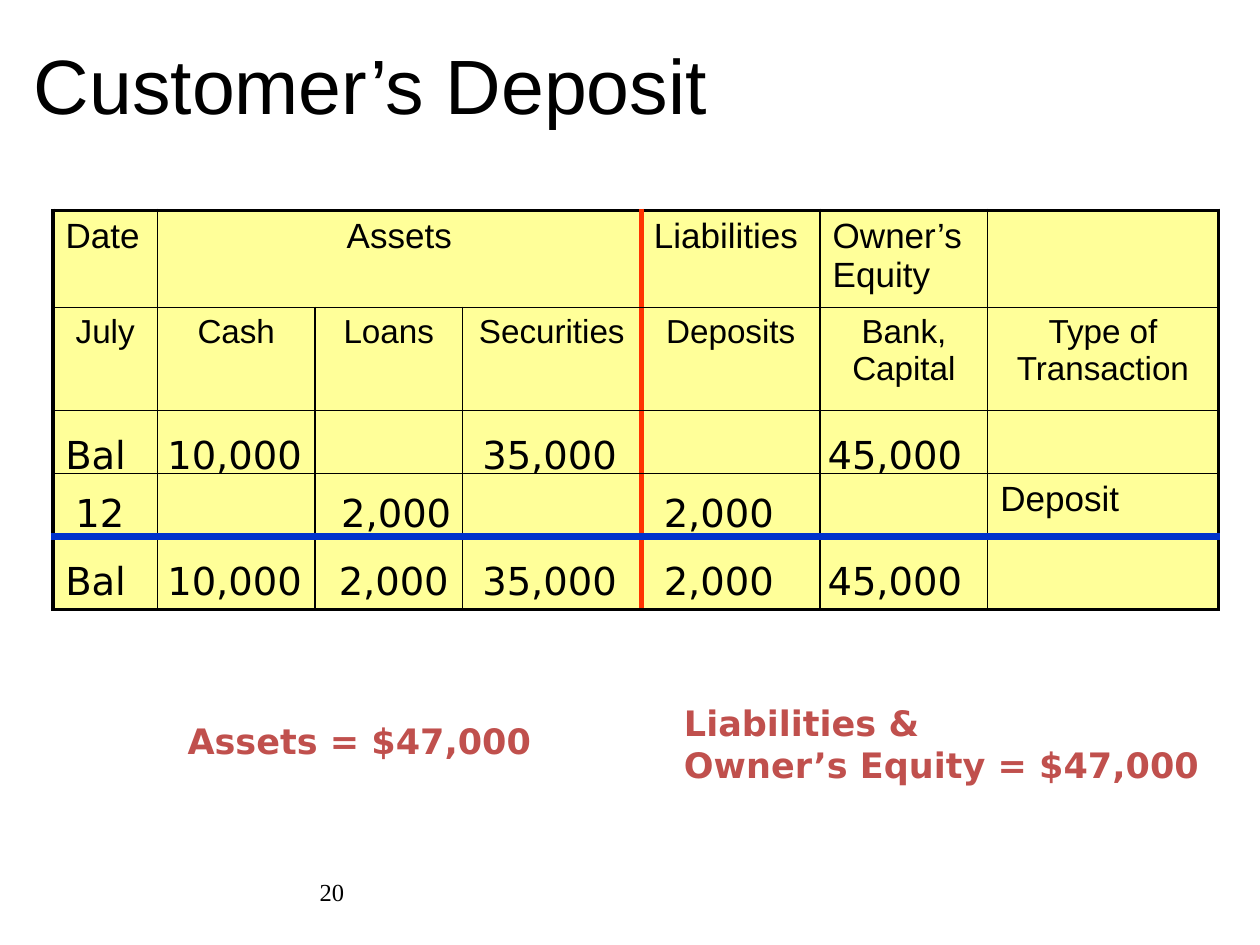
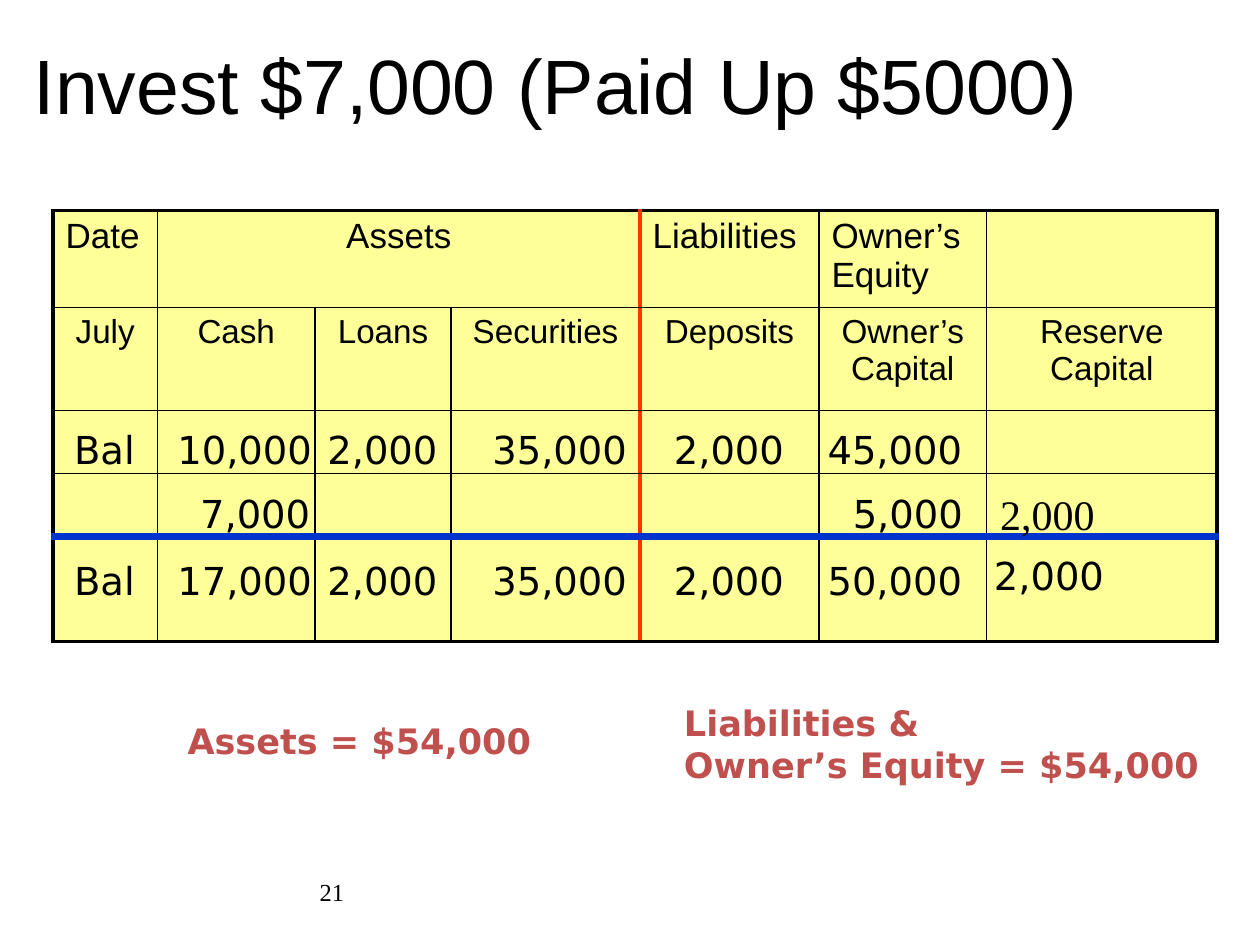
from dataclasses import dataclass
from typing import NamedTuple

from lxml import etree
from pptx import Presentation
from pptx.dml.color import RGBColor
from pptx.enum import shapes, text
from pptx.oxml.ns import qn
from pptx.util import Inches, Pt

BLACK = RGBColor(0x00, 0x00, 0x00)
WHITE = RGBColor(0xFF, 0xFF, 0xFF)
CELL_YELLOW = RGBColor(0xFF, 0xFF, 0x99)
DIVIDER_RED = RGBColor(0xFF, 0x33, 0x00)
TOTAL_BLUE = RGBColor(0x00, 0x33, 0xCC)
NOTE_RED = RGBColor(0xC0, 0x50, 0x4D)

LEFT, CENTER, RIGHT = text.PP_ALIGN.LEFT, text.PP_ALIGN.CENTER, text.PP_ALIGN.RIGHT

TITLE = {"name": "Arial", "size": Pt(44)}
LABEL = {"name": "Arial", "size": Pt(20)}
SUBLABEL = {"name": "Arial", "size": Pt(19)}
FIGURE = {"name": "DejaVu Sans", "size": Pt(22)}
SERIF_FIGURE = {"name": "Times New Roman", "size": Pt(24)}
NOTE = {"name": "DejaVu Sans", "size": Pt(20), "bold": True}
PAGE_NUMBER = {"name": "Times New Roman", "size": Pt(14)}

FIGURE_HEIGHT = 0.47
FIGURE_WIDTHS = {2: 0.59, 3: 0.68, 5: 1.09, 6: 1.28}  # by number of characters


class Box(NamedTuple):
    left: float
    top: float
    width: float
    height: float


class Border(NamedTuple):
    color: RGBColor
    points: float


class FigureRow(NamedTuple):
    top: float
    figures: dict[float, str]  # left edge -> figure


THIN = Border(BLACK, 1)
FRAME = Border(BLACK, 2.25)
COLUMN_EDGES = [FRAME, THIN, THIN, THIN, Border(DIVIDER_RED, 3), THIN, THIN, FRAME]
ROW_EDGES = [FRAME, THIN, THIN, THIN, Border(TOTAL_BLUE, 4.5), FRAME]

HEADINGS = ["Date", "Assets", "", "", "Liabilities", "Owner’s Equity", ""]
ACCOUNTS = ["July", "Cash", "Loans", "Securities", "Deposits"]
ASSETS_COLUMN, ASSETS_SPAN = 1, 3


@dataclass
class Ledger:
    title: str
    page_number: int
    total: str
    columns: list[float]
    last_row: float
    last_accounts: list[str]
    rows: list[FigureRow]
    transaction: str = ""
    serif_figure: str = ""


LEDGERS = [
    Ledger(
        title="Customer’s Deposit",
        page_number=20,
        total="$47,000",
        columns=[0.83, 1.25, 1.17, 1.42, 1.42, 1.33, 1.83],
        last_row=0.58,
        last_accounts=["Bank, Capital", "Type of Transaction"],
        rows=[
            FigureRow(3.37, {0.42: "Bal", 1.23: "10,000", 3.73: "35,000", 6.47: "45,000"}),
            FigureRow(3.83, {0.5: "12", 2.61: "2,000", 5.17: "2,000"}),
            FigureRow(4.37, {0.42: "Bal", 1.23: "10,000", 2.59: "2,000",
                             3.73: "35,000", 5.17: "2,000", 6.47: "45,000"}),
        ],
        transaction="Deposit",
    ),
    Ledger(
        title="Invest $7,000 (Paid Up $5000)",
        page_number=21,
        total="$54,000",
        columns=[0.83, 1.25, 1.08, 1.5, 1.42, 1.33, 1.83],
        last_row=0.83,
        last_accounts=["Owner’s Capital", "Reserve Capital"],
        rows=[
            FigureRow(3.33, {0.49: "Bal", 1.31: "10,000", 2.5: "2,000",
                             3.81: "35,000", 5.25: "2,000", 6.47: "45,000"}),
            FigureRow(3.84, {1.49: "7,000", 6.67: "5,000"}),
            FigureRow(4.37, {0.49: "Bal", 1.31: "17,000", 2.5: "2,000",
                             3.81: "35,000", 5.25: "2,000", 6.47: "50,000"}),
            FigureRow(4.33, {7.79: "2,000"}),
        ],
        serif_figure="2,000",
    ),
]


def write(frame, lines: list[str], style: dict, color: RGBColor = BLACK, align=LEFT) -> None:
    for index, line in enumerate(lines):
        para = frame.paragraphs[0] if index == 0 else frame.add_paragraph()
        para.alignment = align
        span = para.add_run()
        span.text = line
        for name, value in style.items():
            setattr(span.font, name, value)
        span.font.color.rgb = color


def add_text(page, box: Box, line: str, style: dict, align=LEFT) -> None:
    """Add wrapped text, centred vertically in its box."""
    frame = page.shapes.add_textbox(*map(Inches, box)).text_frame
    frame.word_wrap = True
    frame.vertical_anchor = text.MSO_ANCHOR.MIDDLE
    write(frame, [line], style, align=align)


def fit_to_text(frame) -> None:
    frame.word_wrap = False
    frame.auto_size = text.MSO_AUTO_SIZE.SHAPE_TO_FIT_TEXT


def add_figure(page, box: Box, figure: str, style: dict) -> None:
    frame = page.shapes.add_textbox(*map(Inches, box)).text_frame
    fit_to_text(frame)
    write(frame, [figure], style)


def add_note(page, box: Box, lines: list[str]) -> None:
    note = page.shapes.add_shape(shapes.MSO_SHAPE.RECTANGLE, *map(Inches, box))
    note.shadow.inherit = False
    note.fill.solid()
    note.fill.fore_color.rgb = WHITE
    note.line.fill.background()
    fit_to_text(note.text_frame)
    note.text_frame.vertical_anchor = text.MSO_ANCHOR.TOP
    write(note.text_frame, lines, NOTE, NOTE_RED)


def add_borders(cell, row: int, column: int) -> None:
    span = cell.span_width if cell.is_merge_origin else 1
    borders = {
        "a:lnL": COLUMN_EDGES[column],
        "a:lnR": COLUMN_EDGES[column + span],
        "a:lnT": ROW_EDGES[row],
        "a:lnB": ROW_EDGES[row + 1],
    }
    properties = cell._tc.get_or_add_tcPr()
    for tag, border in borders.items():
        line = etree.SubElement(properties, qn(tag), w=str(Pt(border.points)))
        fill = etree.SubElement(line, qn("a:solidFill"))
        etree.SubElement(fill, qn("a:srgbClr"), val=str(border.color))


def add_ledger_table(page, ledger: Ledger) -> None:
    heights = [0.77, 0.82, 0.5, 0.5, ledger.last_row]
    blank = [""] * len(ledger.columns)
    labels = [HEADINGS, ACCOUNTS + ledger.last_accounts, blank,
              blank[:-1] + [ledger.transaction], blank]
    box = Box(0.42, 1.67, sum(ledger.columns), sum(heights))
    table = page.shapes.add_table(len(heights), len(blank), *map(Inches, box)).table
    table.first_row = table.horz_banding = False
    for column, width in zip(table.columns, ledger.columns):
        column.width = Inches(width)
    for row, height in zip(table.rows, heights):
        row.height = Inches(height)
    table.cell(0, ASSETS_COLUMN).merge(table.cell(0, ASSETS_COLUMN + ASSETS_SPAN - 1))

    for row, row_labels in enumerate(labels):
        for column, label in enumerate(row_labels):
            cell = table.cell(row, column)
            if not cell.is_spanned:
                add_borders(cell, row, column)
            cell.fill.solid()
            cell.fill.fore_color.rgb = CELL_YELLOW
            if label:
                centred = row == 1 or cell.is_merge_origin
                write(cell.text_frame, [label], SUBLABEL if row == 1 else LABEL,
                      align=CENTER if centred else LEFT)


def add_ledger_page(deck, ledger: Ledger) -> None:
    page = deck.slides.add_slide(deck.slide_layouts[6])
    add_text(page, Box(0.17, 0.25, 9.08, 0.83), ledger.title, TITLE)
    add_ledger_table(page, ledger)
    add_text(page, Box(0.75, 6.83, 2.08, 0.5), str(ledger.page_number), PAGE_NUMBER, RIGHT)
    add_note(page, Box(1.39, 5.66, 2.94, 0.43), [f"Assets = {ledger.total}"])
    add_note(page, Box(5.33, 5.52, 4.29, 0.77),
             ["Liabilities &", f"Owner’s Equity = {ledger.total}"])
    for row in ledger.rows:
        for left, figure in row.figures.items():
            box = Box(left, row.top, FIGURE_WIDTHS[len(figure)], FIGURE_HEIGHT)
            add_figure(page, box, figure, FIGURE)
    if ledger.serif_figure:
        add_figure(page, Box(7.84, 3.83, 0.96, 0.51), ledger.serif_figure, SERIF_FIGURE)


def main() -> None:
    deck = Presentation()
    deck.slide_width, deck.slide_height = Inches(10), Inches(7.5)
    for ledger in LEDGERS:
        add_ledger_page(deck, ledger)
    deck.save("out.pptx")


if __name__ == "__main__":
    main()
